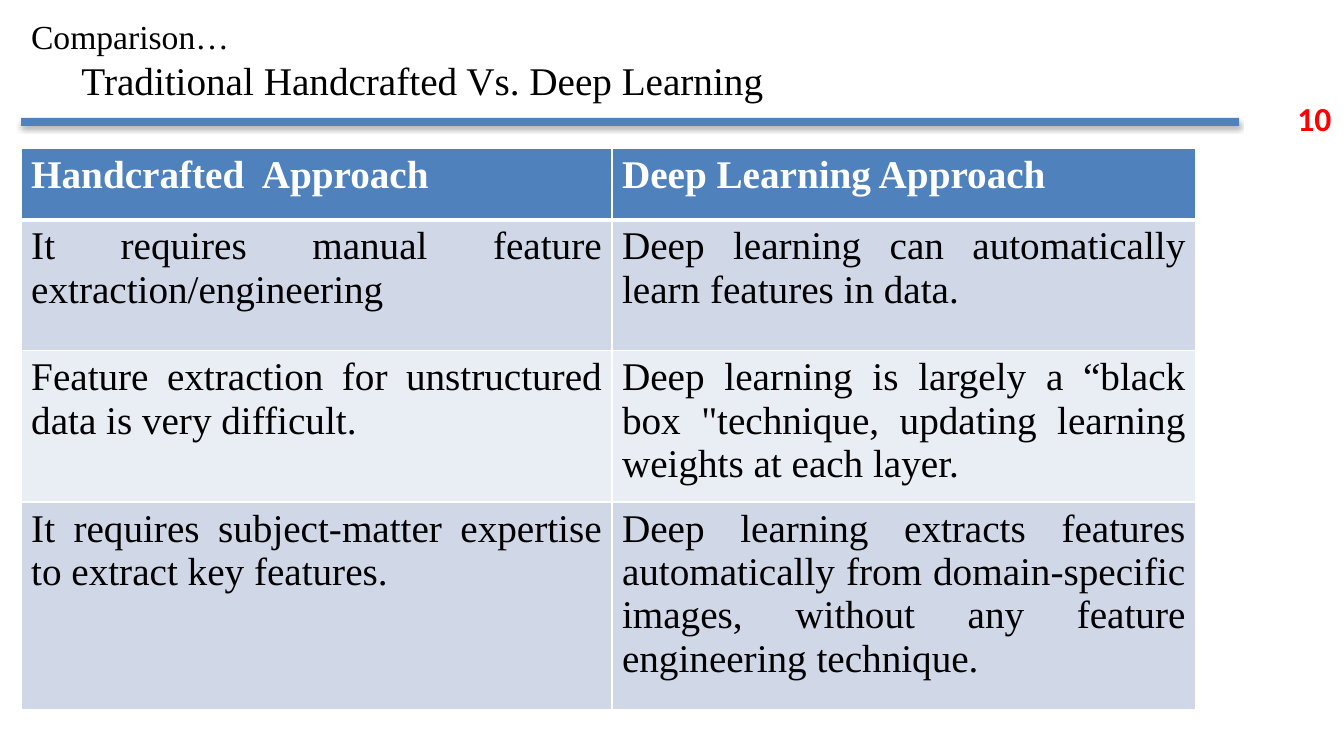
from dataclasses import dataclass

from lxml import etree
from pptx import Presentation
from pptx.dml.color import RGBColor
from pptx.enum.shapes import MSO_SHAPE
from pptx.enum.text import MSO_ANCHOR, MSO_AUTO_SIZE, PP_ALIGN
from pptx.oxml import parse_xml
from pptx.oxml.ns import nsdecls, qn
from pptx.util import Inches, Pt

RECT = MSO_SHAPE.RECTANGLE
MIDDLE = MSO_ANCHOR.MIDDLE
GROW = MSO_AUTO_SIZE.SHAPE_TO_FIT_TEXT
JUSTIFY = PP_ALIGN.JUSTIFY


@dataclass(frozen=True)
class Theme:
    serif: str = "Times New Roman"
    sans: str = "Calibri"
    small: int = 24
    large: int = 28
    blue: str = "4F81BD"
    dark: str = "D0D8E8"
    light: str = "E9EDF4"
    black: str = "000000"
    white: str = "FFFFFF"
    red: str = "FF0000"


THEME = Theme()
WIDTHS = (5.86, 5.79)
HEIGHTS = (0.71, 1.3, 1.5, 2.06)
ROWS = (
    ("Handcrafted  Approach", "Deep Learning Approach"),
    ("It requires manual feature extraction/engineering",
     "Deep learning can automatically learn features in data."),
    ("Feature extraction for unstructured data is very difficult.",
     "Deep learning is largely a “black box \"technique, "
     "updating learning weights at each layer."),
    ("It requires subject-matter expertise to extract key features.",
     "Deep learning extracts features automatically from domain-specific "
     "images, without any feature engineering technique."),
)


def place(box):
    return [Inches(side) for side in box]


def style(run, size, color, face=THEME.serif, bold=False):
    font = run.font
    font.name, font.size, font.bold = face, Pt(size), bold
    font.color.rgb = RGBColor.from_string(color)


def add_bar(slide, box):
    bar = slide.shapes.add_shape(RECT, *place(box))
    bar.fill.solid()
    bar.fill.fore_color.rgb = RGBColor.from_string(THEME.blue)
    bar.line.fill.background()
    bar.shadow.inherit = False
    glow = bar.element.spPr.find(qn("a:effectLst"))
    glow.append(parse_xml(
        f'<a:outerShdw {nsdecls("a")} blurRad="{Pt(3.5)}" dist="{Pt(2.2)}" '
        f'dir="5400000" rotWithShape="0"><a:srgbClr val="{THEME.black}">'
        '<a:alpha val="32000"/></a:srgbClr></a:outerShdw>'))


def add_page(slide, box):
    frame = slide.shapes.add_textbox(*place(box)).text_frame
    frame.word_wrap = False
    frame.auto_size = GROW
    frame.text = "10"
    style(frame.paragraphs[0].runs[0], THEME.small, THEME.red, THEME.sans, True)


def add_title(slide, box):
    frame = slide.shapes.add_textbox(*place(box)).text_frame
    frame.word_wrap = True
    frame.vertical_anchor = MIDDLE
    para = frame.paragraphs[0]
    para.text = "Comparison…\v\tTraditional Handcrafted Vs. Deep Learning"
    for run, size in zip(para.runs, (THEME.small, THEME.large)):
        style(run, size, THEME.black)


def add_edges(cell, top, base):
    props = cell._tc.get_or_add_tcPr()
    edges = (("lnL", 1), ("lnR", 1), ("lnT", top), ("lnB", base))
    for spot, (tag, width) in enumerate(edges):
        line = etree.Element(qn(f"a:{tag}"), w=str(Pt(width)))
        fill = etree.SubElement(line, qn("a:solidFill"))
        etree.SubElement(fill, qn("a:srgbClr"), val=THEME.white)
        props.insert(spot, line)


def fill_cell(cell, text, row):
    head = row == 0
    color = THEME.blue if head else THEME.dark if row % 2 else THEME.light
    cell.fill.solid()
    cell.fill.fore_color.rgb = RGBColor.from_string(color)
    add_edges(cell, 3 if row == 1 else 1, 3 if head else 1)
    para = cell.text_frame.paragraphs[0]
    para.text = text
    para.alignment = JUSTIFY
    ink = THEME.white if head else THEME.black
    style(para.runs[0], THEME.large, ink, bold=head)


def add_grid(slide, box):
    table = slide.shapes.add_table(len(ROWS), len(WIDTHS), *place(box)).table
    for col, width in zip(table.columns, WIDTHS):
        col.width = Inches(width)
    for row, height in zip(table.rows, HEIGHTS):
        row.height = Inches(height)
    for row, texts in enumerate(ROWS):
        for col, text in enumerate(texts):
            fill_cell(table.cell(row, col), text, row)


def main():
    deck = Presentation()
    deck.slide_width, deck.slide_height = Inches(13.33), Inches(7.5)
    slide = deck.slides.add_slide(deck.slide_layouts[6])
    left = 0.21
    add_bar(slide, (left, 1.17, 12.08, 0.08))
    add_page(slide, (12.77, 0.92, 0.59, 0.5))
    add_title(slide, (left, 0.08, 10.39, 1.02))
    add_grid(slide, (left, 1.47, sum(WIDTHS), sum(HEIGHTS)))
    deck.save("out.pptx")


if __name__ == "__main__":
    main()
